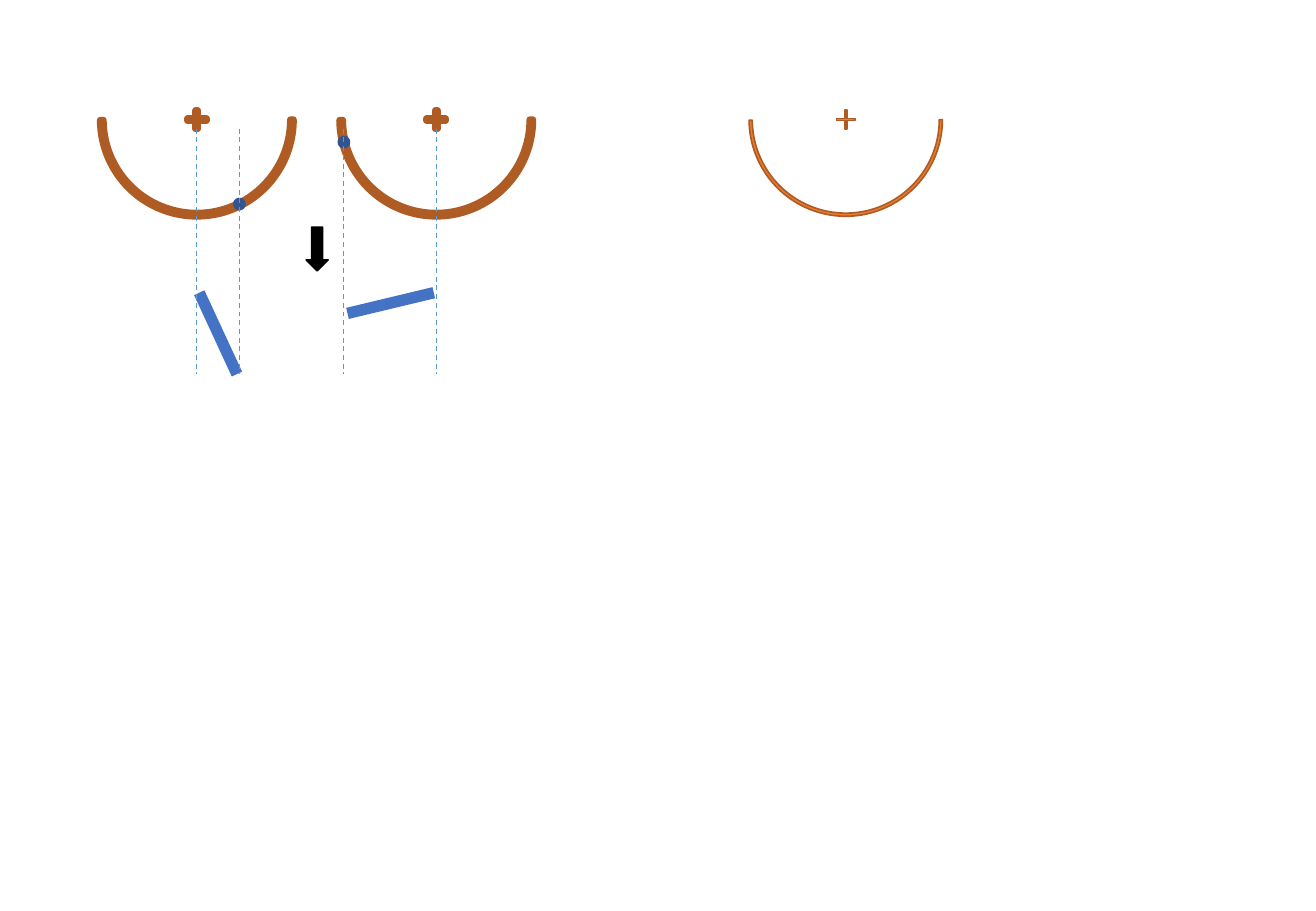
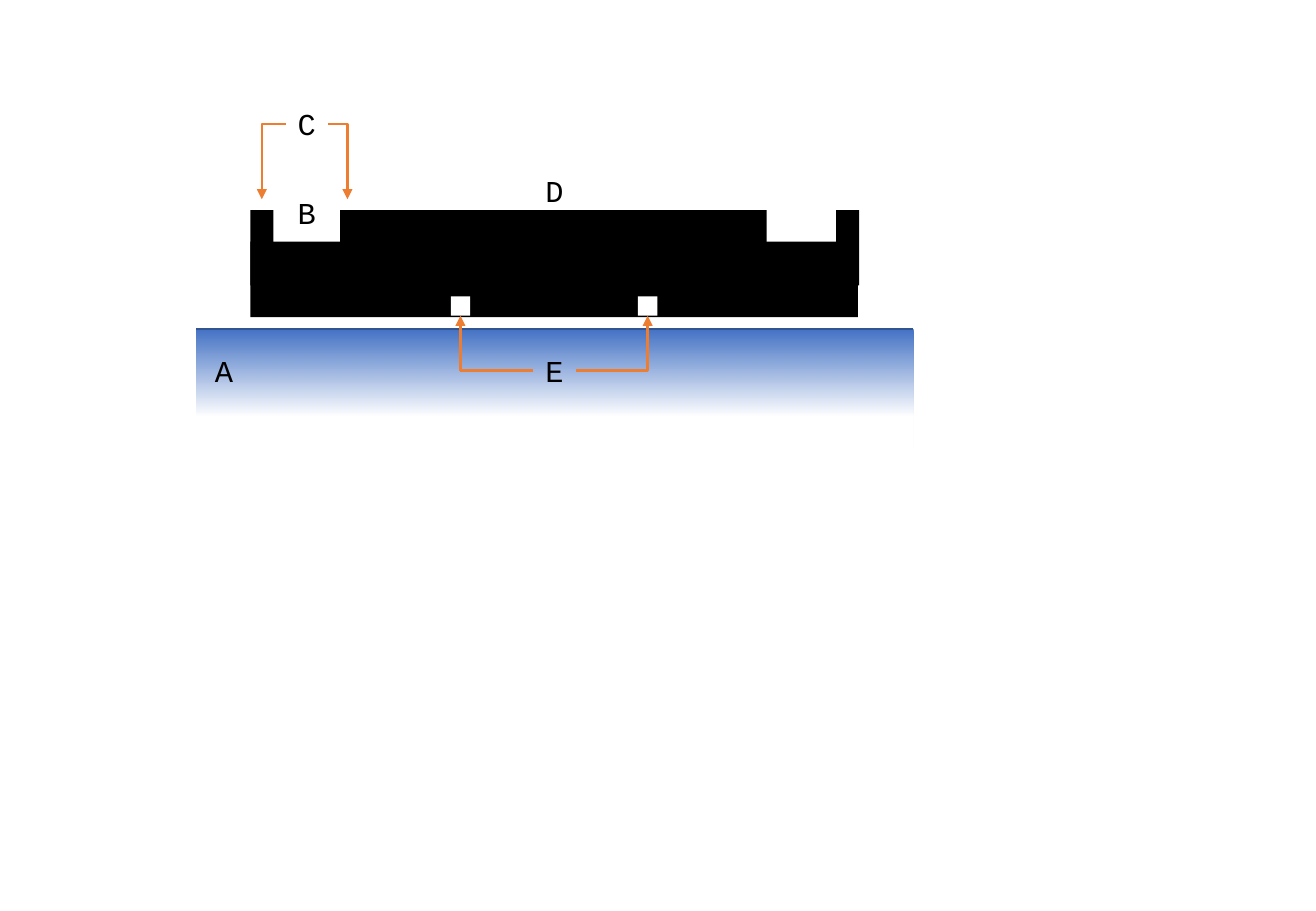
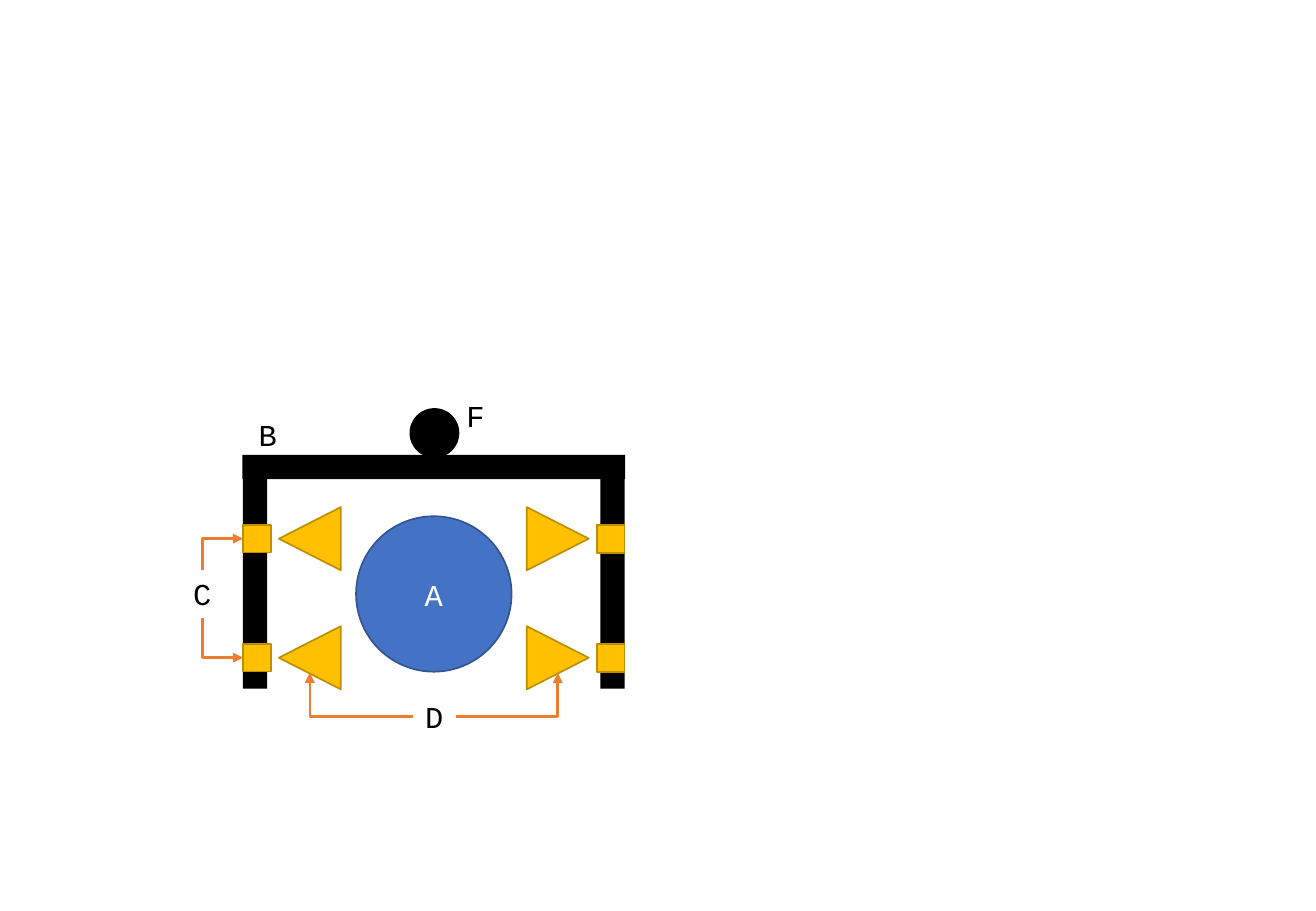
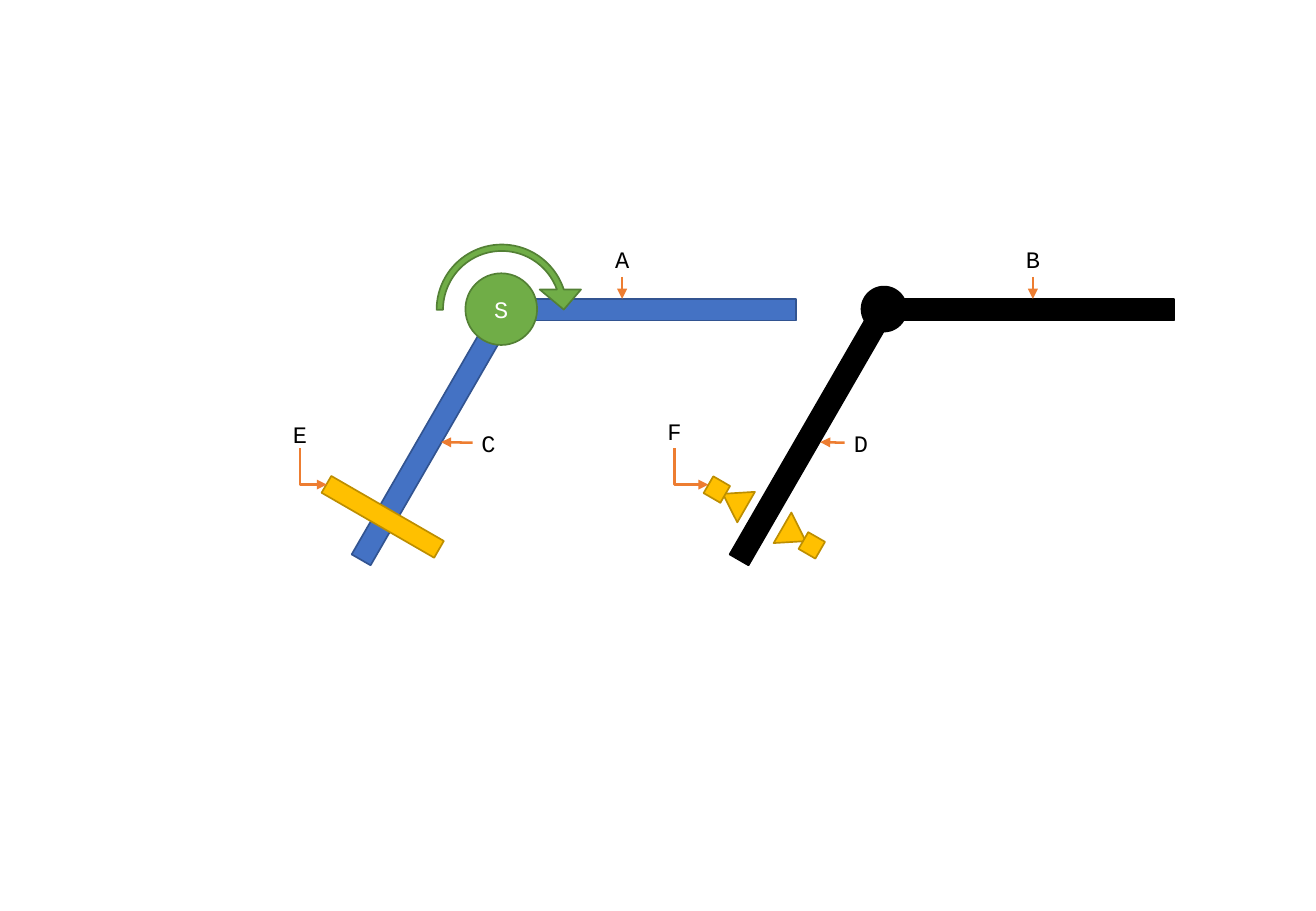
from lxml.etree import SubElement
from pptx import Presentation
from pptx.dml.color import RGBColor
from pptx.enum.dml import MSO_LINE
from pptx.enum.shapes import MSO_CONNECTOR, MSO_SHAPE
from pptx.enum.text import MSO_AUTO_SIZE
from pptx.oxml.ns import qn
from pptx.util import Inches, Pt

FONT = "Courier New"
BLACK, WHITE = "000000", "FFFFFF"
BLUE, BLUE_EDGE = "4472C4", "325491"
ORANGE, ORANGE_EDGE = "ED7D31", "AF5C24"
YELLOW, YELLOW_EDGE = "FFC000", "BD8E00"
GREEN, GREEN_EDGE = "70AD47", "538035"
GUIDE_BLUE = "5B9BD5"


def color(hex_value):
    return RGBColor.from_string(hex_value)


def draw(slide, kind, box, fill=None, edge=None, width=1, rotation=0, adjust=()):
    """Add a preset shape; box is left, top, width, height in inches."""
    shape = slide.shapes.add_shape(kind, *map(Inches, box))
    shape.shadow.inherit = False
    shape.rotation = rotation
    for index, value in enumerate(adjust):
        shape.adjustments[index] = value
    if fill:
        shape.fill.solid()
        shape.fill.fore_color.rgb = color(fill)
    else:
        shape.fill.background()
    if edge:
        shape.line.color.rgb = color(edge)
        shape.line.width = Pt(width)
    else:
        shape.line.fill.background()
    return shape


def write(shape, text, size=18, ink=BLACK, inset=None):
    frame = shape.text_frame
    if inset is not None:
        frame.margin_left = frame.margin_right = Inches(inset)
        frame.margin_top = frame.margin_bottom = Inches(inset)
    run = frame.paragraphs[0].add_run()
    run.text = text
    run.font.name = FONT
    run.font.size = Pt(size)
    run.font.color.rgb = color(ink)
    return shape


def letter(slide, text, left, top):
    """A free-standing letter in a text box that fits it."""
    label = slide.shapes.add_textbox(Inches(left), Inches(top), Inches(0.35), Inches(0.4))
    label.text_frame.word_wrap = False
    label.text_frame.auto_size = MSO_AUTO_SIZE.SHAPE_TO_FIT_TEXT
    return write(label, text)


def tag(slide, text, box):
    """A small letter centred in an unfilled frame."""
    return write(draw(slide, MSO_SHAPE.FLOWCHART_ALTERNATE_PROCESS, box), text, size=14, inset=0)


def locate(anchor):
    """Position of an (x, y) point or of a (shape, side) pair."""
    first, second = anchor
    if isinstance(first, (int, float)):
        return Inches(first), Inches(second)
    across, down = ((1, 0), (0, 1), (1, 2), (2, 1))[second]
    return first.left + first.width * across // 2, first.top + first.height * down // 2


def connect(slide, begin, end, ink=ORANGE, width=1.5, arrow=None, dash=None, bent=False):
    """Join two anchors; a bent line leaves its beginning horizontally."""
    kind = MSO_CONNECTOR.ELBOW if bent else MSO_CONNECTOR.STRAIGHT
    link = slide.shapes.add_connector(kind, *locate(begin), *locate(end))
    for anchor, join in ((begin, link.begin_connect), (end, link.end_connect)):
        if not isinstance(anchor[0], (int, float)):
            join(*anchor)
    link.line.color.rgb = color(ink)
    link.line.width = Pt(width)
    if dash:
        link.line.dash_style = dash
    properties = link._element.spPr
    if bent:
        properties.find(qn("a:prstGeom")).set("prst", "bentConnector2")
    if arrow:
        SubElement(properties.find(qn("a:ln")), qn(f"a:{arrow}"), type="triangle")
    SubElement(properties, qn("a:effectLst"))
    return link


# Slide 1: half rings and the links projected from them

def half_ring(slide, center, width):
    draw(slide, MSO_SHAPE.MATH_PLUS, (center - 0.105, 0.88, 0.21, 0.21),
         ORANGE, ORANGE_EDGE, width, adjust=(0.075,))
    draw(slide, MSO_SHAPE.BLOCK_ARC, (center - 0.795, 0.19, 1.59, 1.59),
         ORANGE, ORANGE_EDGE, width, rotation=180, adjust=(108, 215.821, 0.016))


def projection(slide, center, dot, link_start, link_end):
    half_ring(slide, center, 4)
    dot_x, dot_y = dot
    draw(slide, MSO_SHAPE.OVAL, (dot_x - 0.025, dot_y - 0.025, 0.05, 0.05), BLUE, BLUE_EDGE, 4)
    connect(slide, link_start, link_end, BLUE, 6.75)
    for x in (center, dot_x):
        connect(slide, (x, 1.06), (x, 3.08), GUIDE_BLUE, 0.75, dash=MSO_LINE.DASH)


def ring_slide(slide):
    half_ring(slide, 6.96, 1)
    draw(slide, MSO_SHAPE.DOWN_ARROW, (2.52, 1.87, 0.18, 0.36), BLACK, BLACK)
    projection(slide, 1.62, (1.97, 1.68), (1.64, 2.41), (1.95, 3.08))
    projection(slide, 3.59, (2.83, 1.17), (3.57, 2.41), (2.86, 2.58))


# Slide 2: cross-section of a plate above a surface

def plate_slide(slide):
    rim_target = draw(slide, MSO_SHAPE.RECTANGLE, (2.09, 1.64, 0.13, 0.13), WHITE)

    # Surface fading downwards
    surface = draw(slide, MSO_SHAPE.RECTANGLE, (1.61, 2.71, 5.91, 0.98), BLUE)
    surface.fill.gradient()
    surface.fill.gradient_angle = 270
    for stop, (position, shade) in zip(surface.fill.gradient_stops, ((0, BLUE), (0.74, WHITE))):
        stop.position = position
        stop.color.rgb = color(shade)
    connect(slide, (7.51, 2.71), (1.61, 2.71), BLUE_EDGE, 1)

    # Plate: base, middle and the two rims
    for box in ((2.06, 1.99, 5, 0.62), (2.8, 1.73, 3.51, 0.62),
                (6.88, 1.73, 0.19, 0.62), (2.06, 1.73, 0.19, 0.62)):
        draw(slide, MSO_SHAPE.RECTANGLE, box, BLACK)
    notches = [draw(slide, MSO_SHAPE.RECTANGLE, (x, 2.44, 0.16, 0.16), WHITE)
               for x in (3.71, 5.25)]

    # Letters and their arrows
    letter(slide, "A", 1.67, 2.85)
    letter(slide, "B", 2.35, 1.55)
    rims = letter(slide, "C", 2.35, 0.82)
    letter(slide, "D", 4.39, 1.37)
    grooves = letter(slide, "E", 4.39, 2.85)
    for begin, end in (((rims, 1), (rim_target, 0)), ((rims, 3), (2.86, 1.64)),
                       ((grooves, 1), (notches[0], 2)), ((grooves, 3), (notches[1], 2))):
        connect(slide, begin, end, arrow="tailEnd", bent=True)


# Slide 3: frame with lamps around a round body

def frame_slide(slide):
    body = draw(slide, MSO_SHAPE.OVAL, (2.93, 4.25, 1.28, 1.28), BLUE, BLUE_EDGE)
    write(body, "A", ink=WHITE)
    for box, rotation in (((2, 3.94, 0.2, 1.73), 0), ((3.47, 2.27, 0.2, 3.15), 90),
                          ((4.94, 3.94, 0.2, 1.73), 0)):
        draw(slide, MSO_SHAPE.RECTANGLE, box, BLACK, rotation=rotation)

    # Lamps: a square mount and a cone, in two rows on both sides
    mounts = []
    for mount_x, mount_turn, cone_x, cone_turn in ((2, 0, 2.29, 270), (4.91, 180, 4.33, 90)):
        for top in (4.18, 5.16):
            mounts.append(draw(slide, MSO_SHAPE.RECTANGLE, (mount_x, top + 0.14, 0.23, 0.23),
                               YELLOW, YELLOW_EDGE, rotation=mount_turn))
            draw(slide, MSO_SHAPE.ISOSCELES_TRIANGLE, (cone_x, top, 0.52, 0.51),
                 YELLOW, YELLOW_EDGE, rotation=cone_turn)

    # Letters, joint and arrows
    letter(slide, "B", 2.03, 3.38)
    mount_label = letter(slide, "C", 1.49, 4.69)
    cone_label = letter(slide, "D", 3.4, 5.7)
    letter(slide, "F", 3.74, 3.22)
    draw(slide, MSO_SHAPE.OVAL, (3.37, 3.36, 0.41, 0.41), BLACK)
    for mount, side in zip(mounts, (0, 2)):
        connect(slide, (mount, 1), (mount_label, side), arrow="headEnd", bent=True)
    for side, x in ((1, 2.55), (3, 4.59)):
        connect(slide, (cone_label, side), (x, 5.54), arrow="tailEnd", bent=True)


# Slide 4: two hinged arms

def arms(slide, left, fill, edge):
    draw(slide, MSO_SHAPE.RECTANGLE, (left, 2.46, 2.33, 0.18), fill, edge)
    draw(slide, MSO_SHAPE.RECTANGLE, (left - 1.83, 3.51, 2.33, 0.18), fill, edge, rotation=300)


def arm_slide(slide):
    # Driven arm with its motor
    arms(slide, 4.22, BLUE, BLUE_EDGE)
    motor = draw(slide, MSO_SHAPE.OVAL, (3.83, 2.25, 0.59, 0.59), GREEN, GREEN_EDGE)
    write(motor, "S", size=14, ink=WHITE)
    draw(slide, MSO_SHAPE.CIRCULAR_ARROW, (3.45, 1.87, 1.36, 1.36), GREEN, GREEN_EDGE,
         adjust=(0.039, 11.423, 204.577, 108, 0.125))

    # Lamps facing each other across the following arm
    for cone, mount, turn in (((5.9, 4.01), (5.82, 3.95), 300), ((6.39, 4.29), (6.6, 4.41), 120)):
        draw(slide, MSO_SHAPE.ISOSCELES_TRIANGLE, (*cone, 0.29, 0.22),
             YELLOW, YELLOW_EDGE, rotation=turn)
        draw(slide, MSO_SHAPE.RECTANGLE, (*mount, 0.16, 0.16), YELLOW, YELLOW_EDGE, rotation=turn)

    # Following arm, crossbar and hinge
    arms(slide, 7.33, BLACK, BLACK)
    draw(slide, MSO_SHAPE.RECTANGLE, (3.07, 3.72, 0.16, 1.07), YELLOW, YELLOW_EDGE, rotation=300)
    draw(slide, MSO_SHAPE.OVAL, (7.09, 2.36, 0.37, 0.37), BLACK, BLACK)

    # Letters with straight arrows
    for text, box, side, tip in (("A", (4.08, 1.98, 2.08, 0.3), 2, (5.12, 2.46)),
                                 ("B", (7.46, 1.98, 2.08, 0.3), 2, (8.5, 2.46)),
                                 ("C", (3.89, 3.51, 0.26, 0.27), 1, (3.63, 3.64)),
                                 ("D", (6.95, 3.54, 0.27, 0.21), 1, (6.75, 3.64))):
        connect(slide, (tag(slide, text, box), side), tip, arrow="tailEnd")

    # Letters with bent arrows
    for text, box, tip in (("E", (2.2, 3.45, 0.54, 0.24), (2.69, 3.99)),
                           ("F", (5.41, 3.4, 0.28, 0.29), (5.83, 3.99))):
        connect(slide, tip, (tag(slide, text, box), 2), arrow="headEnd", bent=True)


def main():
    deck = Presentation()
    deck.slide_width, deck.slide_height = Inches(10.83), Inches(7.5)
    for build in (ring_slide, plate_slide, frame_slide, arm_slide):
        build(deck.slides.add_slide(deck.slide_layouts[6]))
    deck.save("out.pptx")


if __name__ == "__main__":
    main()
